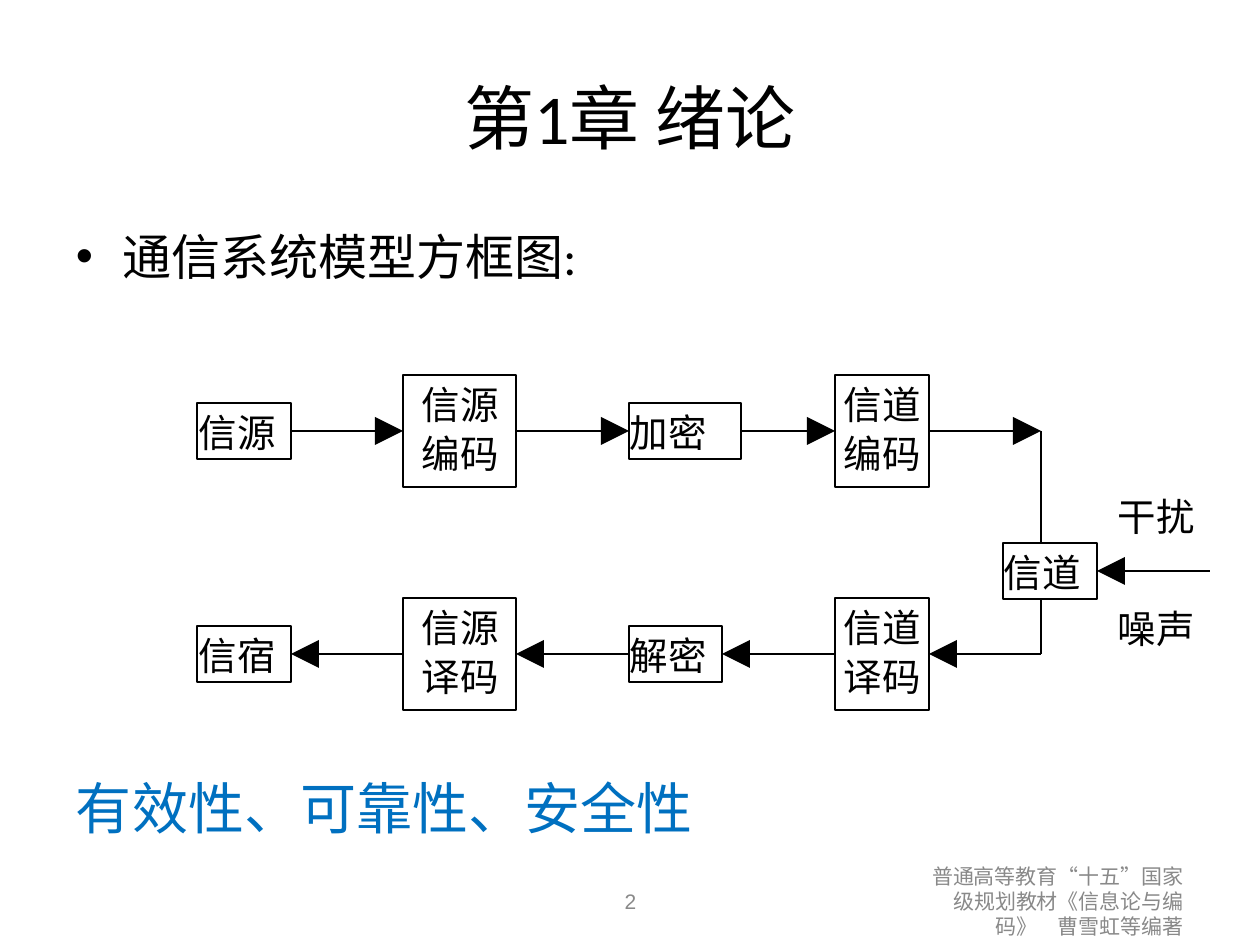
"""Build the slide with the block diagram of a communication system model."""
from lxml.etree import SubElement
from pptx import Presentation
from pptx.dml.color import RGBColor
from pptx.enum.shapes import MSO_CONNECTOR as LINE, MSO_SHAPE as SHAPE
from pptx.enum.text import MSO_ANCHOR as ANCHOR, PP_ALIGN as ALIGN
from pptx.oxml.ns import qn
from pptx.util import Pt

PX = 914400 / 126
BLACK = RGBColor(0x00, 0x00, 0x00)
GRAY = RGBColor(0x89, 0x89, 0x89)
BLUE = RGBColor(0x00, 0x70, 0xC0)
CJK = "Noto Sans CJK SC"

deck = Presentation()
deck.slide_width, deck.slide_height = round(1260 * PX), round(945 * PX)
slide = deck.slides.add_slide(deck.slide_layouts[6])
shapes = slide.shapes


def write(text, box, size, font=CJK, color=BLACK, align=ALIGN.LEFT,
          anchor=ANCHOR.TOP, inset=(13, 6), wrap=True, bullet=False):
    frame = shapes.add_textbox(*(round(v * PX) for v in box)).text_frame
    across, down = (round(v * PX) for v in inset)
    layout = {"word_wrap": wrap, "vertical_anchor": anchor,
              "margin_left": across, "margin_right": across,
              "margin_top": down, "margin_bottom": down}
    for name, value in layout.items():
        setattr(frame, name, value)
    line = frame.paragraphs[0]
    line.alignment = align
    if bullet:
        props = line._p.get_or_add_pPr()
        props.set("marL", str(round(47 * PX)))
        props.set("indent", str(round(-47 * PX)))
        SubElement(props, qn("a:buFont")).set("typeface", "Arial")
        SubElement(props, qn("a:buChar")).set("char", "•")
    run = line.add_run()
    run.text = text
    for name, value in {"size": Pt(size), "name": font}.items():
        setattr(run.font, name, value)
    run.font.color.rgb = color
    SubElement(run._r.get_or_add_rPr(), qn("a:ea")).set("typeface", CJK)


def connect(x1, y1, x2, y2):
    ends = (round(v * PX) for v in (x1, y1, x2, y2))
    wire = shapes.add_connector(LINE.STRAIGHT, *ends)
    wire.line.color.rgb = BLACK
    wire.line.width = Pt(1.5)
    SubElement(wire._element.spPr, qn("a:effectLst"))


write("2", (431, 876, 399, 50), 12, "Arial", GRAY, ALIGN.CENTER, ANCHOR.MIDDLE)
write("普通高等教育“十五”国家级规划教材《信息论与编码》　曹雪虹等编著",
      (903, 876, 294, 50), 12, "Arial", GRAY, ALIGN.RIGHT, ANCHOR.MIDDLE)
write("第1章 绪论", (63, 38, 1134, 158), 40, "Calibri",
      align=ALIGN.CENTER, anchor=ANCHOR.MIDDLE)
write("通信系统模型方框图:", (63, 220, 1134, 624), 28, "Calibri", bullet=True)

SEND, RECEIVE, CHANNEL = 431, 654, 571
LABEL_W, LABEL_H, LINE_STEP = 77, 47, 49
blocks = [
    (197, SEND, 94, 2, ["信源"]),
    (403, SEND, 113, 19, ["信源", "编码"]),
    (629, SEND, 112, 1, ["加密"]),
    (835, SEND, 94, 9, ["信道", "编码"]),
    (1003, CHANNEL, 94, 1, ["信道"]),
    (835, RECEIVE, 94, 9, ["信道", "译码"]),
    (629, RECEIVE, 93, 1, ["解密"]),
    (403, RECEIVE, 113, 19, ["信源", "译码"]),
    (197, RECEIVE, 94, 2, ["信宿"]),
]
for left, middle, width, indent, lines in blocks:
    height = 56 * len(lines)
    top = middle - height // 2
    block = shapes.add_shape(SHAPE.RECTANGLE, *(round(v * PX) for v in (left, top, width, height)))
    block.shadow.inherit = False
    block.fill.background()
    block.line.color.rgb = BLACK
    block.line.width = Pt(1.5)
    for row, text in enumerate(lines):
        write(text, (left + indent, top + 6 + row * LINE_STEP, LABEL_W, LABEL_H),
              22, inset=(0, 0), wrap=False)

for text, top in (("干扰", 493), ("噪声", 605)):
    write(text, (1118, top, LABEL_W, LABEL_H), 22, inset=(0, 0), wrap=False)

HEAD, HALF = 28, 14
arrows = [
    (291, 403, SEND), (516, 629, SEND), (741, 835, SEND), (929, 1041, SEND),
    (1041, 929, RECEIVE), (835, 722, RECEIVE), (629, 516, RECEIVE),
    (403, 291, RECEIVE), (1210, 1097, CHANNEL),
]
for start, tip, y in arrows:
    back = tip - HEAD if tip > start else tip + HEAD
    connect(start, y, back, y)
    outline = shapes.build_freeform(back, y - HALF, scale=PX)
    outline.add_line_segments([(tip, y), (back, y + HALF)], close=True)
    head = outline.convert_to_shape()
    head.shadow.inherit = False
    head.fill.solid()
    head.fill.fore_color.rgb = BLACK
    head.line.fill.background()

connect(1041, SEND, 1041, CHANNEL - 28)
connect(1041, CHANNEL + 28, 1041, RECEIVE)

write("有效性、可靠性、安全性", (63, 767, 697, 81), 32, "Arial", BLUE)

deck.save("out.pptx")
